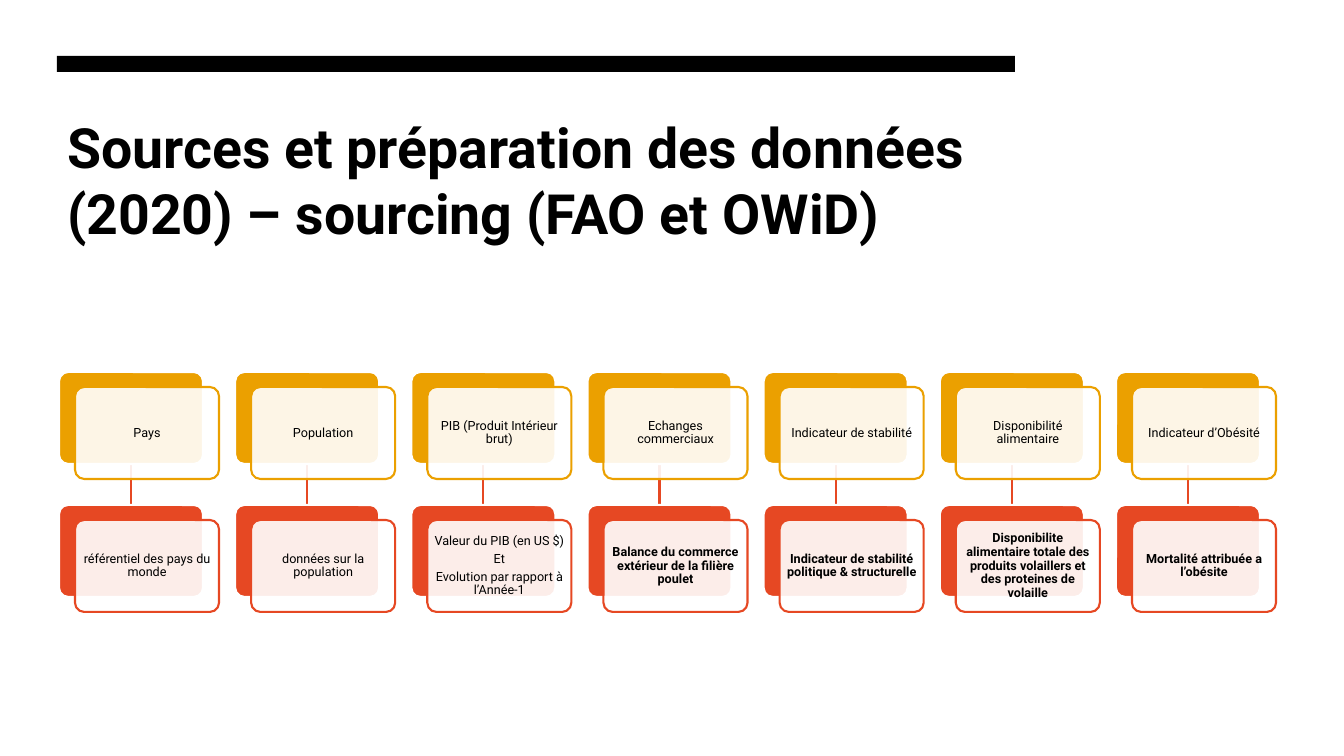
from pptx import Presentation
from pptx.dml.color import RGBColor
from pptx.enum.shapes import MSO_CONNECTOR, MSO_SHAPE
from pptx.enum.text import MSO_ANCHOR, MSO_AUTO_SIZE, PP_ALIGN
from pptx.oxml.ns import qn
from pptx.util import Pt
from lxml import etree

BLACK = RGBColor(0x00, 0x00, 0x00)
WHITE = RGBColor(0xFF, 0xFF, 0xFF)
AMBER = RGBColor(0xEB, 0xA0, 0x00)
RED = RGBColor(0xE6, 0x48, 0x23)
FONT = "Roboto"
EMU_PER_PX = 914400 / 100.8

CARD_W, CARD_H = 144, 92
SOURCE_TOP, DETAIL_TOP = 372, 505
FIRST_LEFT, LAST_LEFT = 59, 1116

SOURCES = [
    ("Pays", ["référentiel des pays du monde"], False),
    ("Population", ["données sur la population"], False),
    ("PIB (Produit Intérieur brut)",
     ["Valeur du PIB (en US $)", "Et", "Evolution par rapport à l’Année-1"], False),
    ("Echanges commerciaux",
     ["Balance du commerce extérieur de la filière poulet"], True),
    ("Indicateur de stabilité",
     ["Indicateur de stabilité politique & structurelle"], True),
    ("Disponibilité alimentaire",
     ["Disponibilite alimentaire totale des produits volaillers et des proteines de volaille"], True),
    ("Indicateur d’Obésité", ["Mortalité attribuée a l’obésite"], True),
]


def px(*lengths):
    return [round(length * EMU_PER_PX) for length in lengths]


def add_card(left, top, color, lines, bold):
    for offset_x, offset_y, fill, line in ((0, 0, color, WHITE), (16, 15, WHITE, color)):
        card = slide.shapes.add_shape(
            MSO_SHAPE.ROUNDED_RECTANGLE, *px(left + offset_x, top + offset_y, CARD_W, CARD_H))
        card.adjustments[0] = 0.1
        card.shadow.inherit = False
        card.fill.solid()
        card.fill.fore_color.rgb = fill
        card.line.color.rgb = line
        card.line.width = Pt(1.5)
    fill_color = card.fill._xPr.find(qn("a:solidFill"))[0]
    etree.SubElement(fill_color, qn("a:alpha"), val="90000")
    frame = card.text_frame
    frame.word_wrap = True
    frame.vertical_anchor = MSO_ANCHOR.MIDDLE
    frame.margin_left, frame.margin_right, frame.margin_top, frame.margin_bottom = px(3, 3, 3, 3)
    for index, text in enumerate(lines):
        paragraph = frame.paragraphs[0] if index == 0 else frame.add_paragraph()
        paragraph.text = text
        paragraph.alignment = PP_ALIGN.CENTER
        paragraph.line_spacing = 0.9
        paragraph.space_after = Pt(3)
        paragraph.font.name = FONT
        paragraph.font.size = Pt(9)
        paragraph.font.bold = bold
        paragraph.font.color.rgb = BLACK


prs = Presentation()
prs.slide_width, prs.slide_height = px(1344, 756)
slide = prs.slides.add_slide(prs.slide_layouts[5])
slide.background.fill.solid()
slide.background.fill.fore_color.rgb = WHITE

title = slide.shapes.title
title.left, title.top, title.width, title.height = px(57, 108, 958, 161)
title.text = "Sources et préparation des données (2020) – sourcing (FAO et OWiD)"
title.text_frame.word_wrap = True
title.text_frame.auto_size = MSO_AUTO_SIZE.NONE
title.text_frame.vertical_anchor = MSO_ANCHOR.TOP
heading = title.text_frame.paragraphs[0]
heading.alignment = PP_ALIGN.LEFT
heading.font.name = FONT
heading.font.size = Pt(39.6)
heading.font.bold = True
heading.font.color.rgb = BLACK

title_bar = slide.shapes.add_shape(MSO_SHAPE.RECTANGLE, *px(57, 56, 958, 16))
title_bar.shadow.inherit = False
title_bar.fill.solid()
title_bar.fill.fore_color.rgb = BLACK
title_bar.line.fill.background()

pitch = (LAST_LEFT - FIRST_LEFT) / (len(SOURCES) - 1)
for column, (source, details, bold) in enumerate(SOURCES):
    left = FIRST_LEFT + column * pitch
    link_x = left + CARD_W / 2
    link = slide.shapes.add_connector(
        MSO_CONNECTOR.STRAIGHT, *px(link_x, SOURCE_TOP + CARD_H, link_x, DETAIL_TOP))
    link.line.color.rgb = RED
    link.line.width = Pt(1.5)
    etree.SubElement(link._element.spPr, qn("a:effectLst"))
    add_card(left, SOURCE_TOP, AMBER, [source], False)
    add_card(left, DETAIL_TOP, RED, details, bold)

prs.save("out.pptx")
